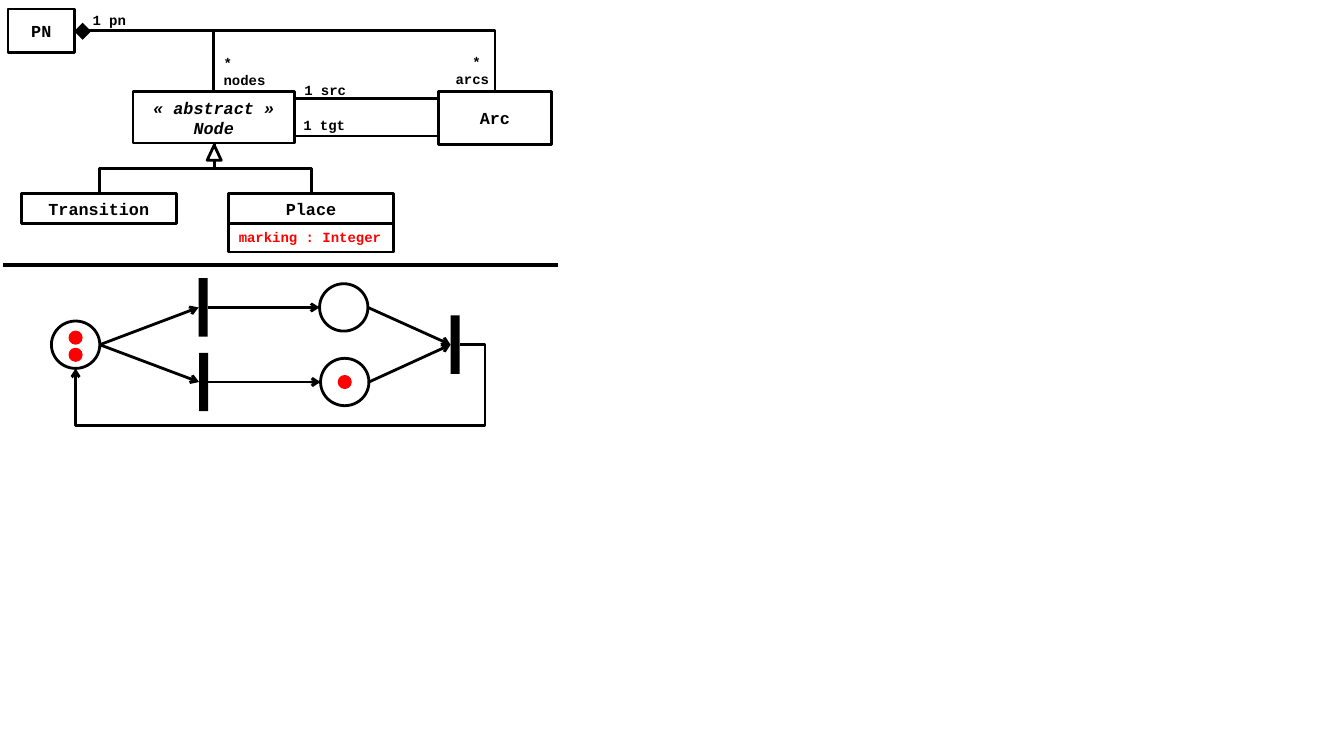
from dataclasses import dataclass
from lxml import etree
from pptx import Presentation, util as u
from pptx.dml import color as dml
from pptx.enum import shapes as kinds, text as txt
from pptx.oxml import ns

KIND, LINK = kinds.MSO_SHAPE, kinds.MSO_CONNECTOR
LEFT, MID, RIGHT = txt.PP_ALIGN.LEFT, txt.PP_ALIGN.CENTER, txt.PP_ALIGN.RIGHT
COLS, ROWS = 133.33, 75


@dataclass(frozen=True)
class Theme:
    ink: str = "000000"
    red: str = "FF0000"
    paper: str = "FFFFFF"
    font: str = "Courier New"
    name: float = 12
    note: float = 10
    thin: float = 2
    thick: float = 3


@dataclass(frozen=True)
class Grid:
    deck: object
    col: float
    row: float

    def span(self, cols, rows):
        return (u.Emu(round(self.deck.slide_width * cols / COLS)),
                u.Emu(round(self.deck.slide_height * rows / ROWS)))

    def spot(self, col, row):
        return self.span(self.col + col, self.row + row)

    def area(self, col, row, wide, high):
        return *self.spot(col, row), *self.span(wide, high)


THEME = Theme()


def tint(code):
    return dml.RGBColor.from_string(code)


def style(item, **form):
    for key, value in form.items():
        setattr(item, key, value)


def write(shape, words, size=THEME.name, ink=THEME.ink, align=MID,
          anchor=txt.MSO_ANCHOR.MIDDLE, slant=False):
    frame = shape.text_frame
    style(frame, text=words, word_wrap=True, vertical_anchor=anchor)
    for para in frame.paragraphs:
        para.alignment = align
        for run in para.runs:
            style(run.font, name=THEME.font, size=u.Pt(size), bold=True, italic=slant)
            run.font.color.rgb = tint(ink)


def draw(tree, grid, kind, area, fill=None, edge=True):
    shape = tree.add_shape(kind, *grid.area(*area))
    shape.shadow.inherit = False
    if fill:
        shape.fill.solid()
        shape.fill.fore_color.rgb = tint(fill)
    else:
        shape.fill.background()
    if edge:
        shape.line.color.rgb = tint(THEME.ink)
        shape.line.width = u.Pt(THEME.thin)
    else:
        shape.line.fill.background()
    return shape


def label(tree, grid, area, words, align=LEFT):
    note = tree.add_textbox(*grid.area(*area))
    write(note, words, THEME.note, align=align, anchor=txt.MSO_ANCHOR.TOP)


def link(tree, grid, start, end, arrow=False, width=THEME.thin, kind=LINK.STRAIGHT):
    line = tree.add_connector(kind, *grid.spot(*start), *grid.spot(*end))
    line.line.color.rgb = tint(THEME.ink)
    line.line.width = u.Pt(width)
    if arrow:
        etree.SubElement(line.line._get_or_add_ln(), ns.qn("a:tailEnd"), type="arrow")
    etree.SubElement(line.element.spPr, ns.qn("a:effectLst"))
    return line


def bend(tree, grid, form, area, turn={}, bias=(), arrow=False):
    col, row, wide, high = area
    line = link(tree, grid, (col, row), (col + wide, row + high), arrow, kind=LINK.ELBOW)
    frame = line.element.spPr.find(ns.qn("a:xfrm"))
    for key, value in turn.items():
        frame.set(key, value)
    shape = line.element.spPr.find(ns.qn("a:prstGeom"))
    shape.set("prst", form)
    guides = shape.find(ns.qn("a:avLst"))
    for step, value in enumerate(bias, 1):
        etree.SubElement(guides, ns.qn("a:gd"), name=f"adj{step}", fmla=f"val {value}")


def model(tree, grid):
    for wide in (13.9, 41.8):
        bend(tree, grid, "bentConnector2", (7.3, 3, wide, 6.1))
    for row in (9.8, 13.5):
        link(tree, grid, (43.6, row), (29.4, row))
    bend(tree, grid, "bentConnector3", (23.6, 11.9, 5, 9.6),
         {"rot": "16200000", "flipV": "1"})
    bend(tree, grid, "bentConnector3", (13.1, 11, 5, 11.4),
         {"rot": "5400000", "flipH": "1", "flipV": "1"})
    draw(tree, grid, KIND.ISOSCELES_TRIANGLE, (20.55, 14.4, 1.4, 1.5), THEME.paper)
    gem = draw(tree, grid, KIND.RECTANGLE, (7.6, 2.5, 1.2, 1.2), THEME.ink, False)
    gem.rotation = 45

    place = tree.add_group_shape().shapes
    for home, words, area, slant in (
            (tree, "PN", (0.8, 0.9, 6.6, 4.3), False),
            (tree, "«\u00a0abstract\u00a0»\nNode", (13.2, 9.1, 16, 5.1), True),
            (tree, "Arc", (43.5, 9.1, 11.2, 5.2), False),
            (tree, "Transition", (2.1, 19.2, 15.4, 3), False),
            (place, "Place", (22.7, 19.2, 16.3, 3), False)):
        write(draw(home, grid, KIND.RECTANGLE, area), words, slant=slant)
    field = draw(place, grid, KIND.RECTANGLE, (22.7, 22.2, 16.3, 2.8))
    write(field, "marking : Integer", THEME.note, THEME.red, LEFT, txt.MSO_ANCHOR.TOP)

    for words, area, align in (
            ("1 pn", (8.2, 0.7, 6.2, 2.7), LEFT),
            ("1 src", (29.2, 7.6, 6.7, 2.7), LEFT),
            ("1 tgt", (29.1, 11.1, 6.5, 2.7), LEFT),
            ("* \nnodes", (21.2, 4.9, 6.6, 4.4), LEFT),
            ("* \narcs", (43.9, 4.8, 5.6, 4.4), RIGHT)):
        label(tree, grid, area, words, align)


def net(tree, grid):
    axis, gap = 7.9, 3.7
    high, low = axis - gap, axis + gap
    ring, bar, dot = (4.8, 4.7), (0.9, 5.8), (1.4, 1.4)

    def center(kind, spot, size, fill=None, edge=True):
        area = [mid - span / 2 for mid, span in zip(spot, size)]
        draw(tree, grid, kind, (*area, *size), fill, edge)

    def side(spot, size, way):
        return spot[0] + way * size[0] / 2, spot[1]

    first, upper, lower = (7.5, axis), (34.1, high), (34.2, low)
    fork, split, join = (20.15, high), (20.2, low), (45.15, axis)
    for spot in (first, upper, lower):
        center(KIND.OVAL, spot, ring)
    for spot in (fork, split, join):
        center(KIND.RECTANGLE, spot, bar, THEME.ink, False)
    for spot in ((7.5, axis - 0.7), (7.5, axis + 1), lower):
        center(KIND.OVAL, spot, dot, THEME.red, False)
    for start, wide, end, reach in (
            (first, ring, fork, bar), (first, ring, split, bar),
            (fork, bar, upper, ring), (split, bar, lower, ring),
            (upper, ring, join, bar), (lower, ring, join, bar)):
        link(tree, grid, side(start, wide, 1), side(end, reach, -1), True)
    bend(tree, grid, "bentConnector4", (7.5, axis, 38.1, 2.35), {"flipH": "1"},
         (-6600, 339400), True)


def main():
    deck = Presentation()
    style(deck, slide_width=u.Inches(13.33), slide_height=u.Inches(7.5))
    tree = deck.slides.add_slide(deck.slide_layouts[6]).shapes
    model(tree, Grid(deck, 0, 0))
    base = Grid(deck, 0, 26.3)
    link(tree, base, (0.3, 0), (55.4, 0), width=THEME.thick)
    net(tree, base)
    deck.save("out.pptx")


main()
